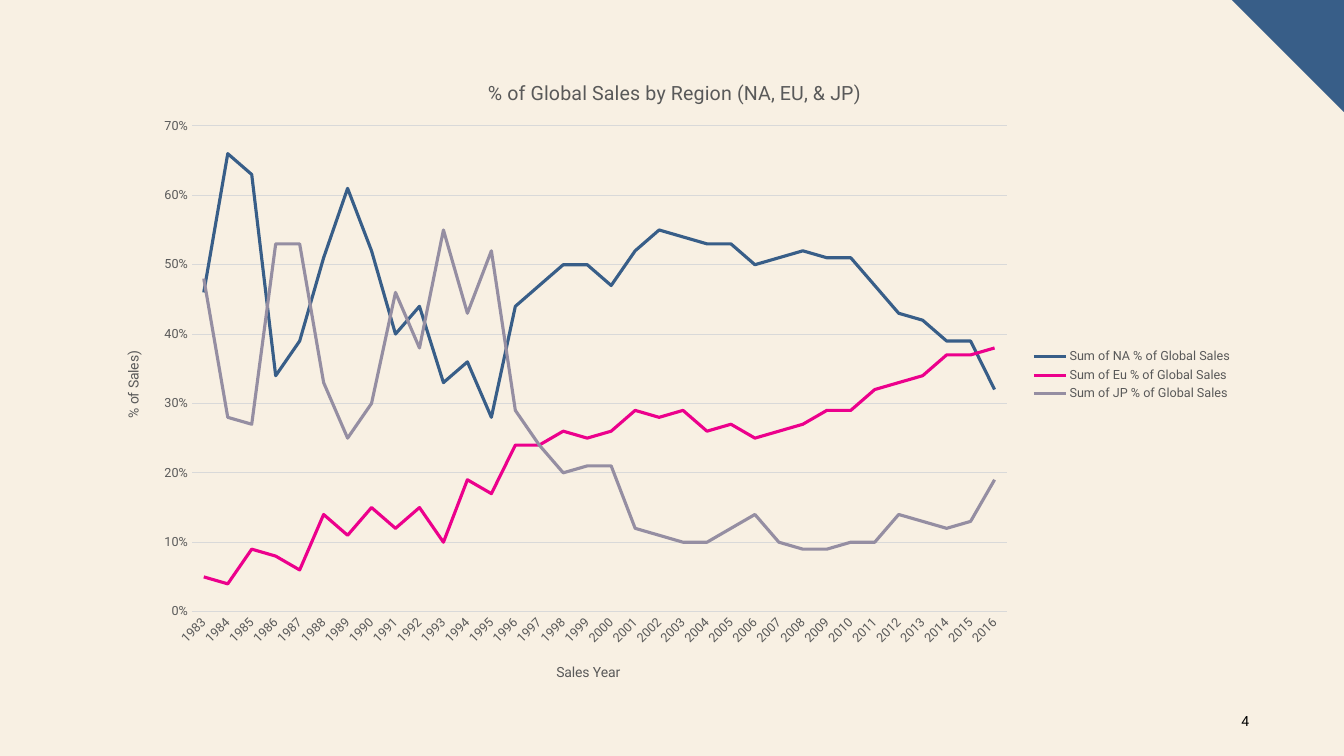
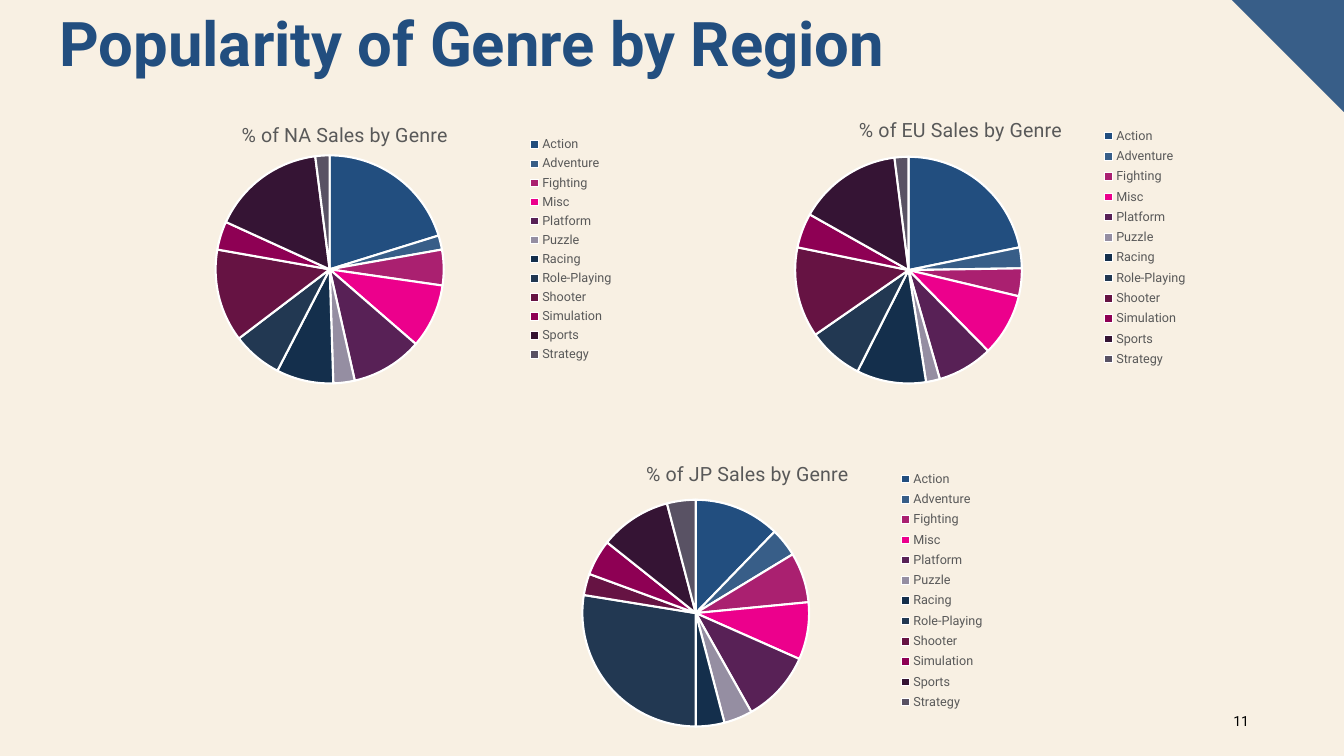
from lxml import etree
from pptx import Presentation
from pptx import util as u
from pptx.chart import data
from pptx.dml import color
from pptx.enum import chart as ce
from pptx.enum import text
from pptx.oxml import ns

Pt = u.Pt
CREAM, BLUE, NAVY, GREY, RULE = "F8F0E3", "385E88", "224E7F", "595959", "D9D9D9"
PINK, LILAC = "EC008C", "958EA2"

YEARS = [str(year) for year in range(1983, 2017)]
REGIONS = [
    ("Sum of NA % of Global Sales", BLUE,
     [46, 66, 63, 34, 39, 51, 61, 52, 40, 44, 33, 36, 28, 44, 47, 50, 50,
      47, 52, 55, 54, 53, 53, 50, 51, 52, 51, 51, 47, 43, 42, 39, 39, 32]),
    ("Sum of Eu % of Global Sales", PINK,
     [5, 4, 9, 8, 6, 14, 11, 15, 12, 15, 10, 19, 17, 24, 24, 26, 25,
      26, 29, 28, 29, 26, 27, 25, 26, 27, 29, 29, 32, 33, 34, 37, 37, 38]),
    ("Sum of JP % of Global Sales", LILAC,
     [48, 28, 27, 53, 53, 33, 25, 30, 46, 38, 55, 43, 52, 29, 24, 20, 21,
      21, 12, 11, 10, 10, 12, 14, 10, 9, 9, 10, 10, 14, 13, 12, 13, 19]),
]

GENRES = {
    "Action": NAVY, "Adventure": BLUE, "Fighting": "AA2070", "Misc": PINK,
    "Platform": "582156", "Puzzle": LILAC, "Racing": "142F4C",
    "Role-Playing": "223852", "Shooter": "661343", "Simulation": "8E0054",
    "Sports": "351434", "Strategy": "595264",
}
GENRE_PIES = [
    dict(title="% of NA Sales by Genre", values=[20, 2, 5, 9, 10, 3, 8, 7, 13, 4, 16, 2],
         box=(90, 68.4, 360, 216), title_at=(170, 84),
         plot_box=(154, 111, 163, 163), legend_box=(368, 95, 80, 167)),
    dict(title="% of EU Sales by Genre", values=[22, 3, 4, 9, 8, 2, 10, 8, 13, 5, 15, 2],
         box=(503.3, 68.4, 360, 216), title_at=(611, 80.5),
         plot_box=(568, 112, 162, 162), legend_box=(778, 88, 80, 178)),
    dict(title="% of JP Sales by Genre", values=[12, 4, 7, 8, 10, 4, 4, 27, 3, 5, 10, 4],
         box=(352.1, 313.2, 360, 216), title_at=(459, 326),
         plot_box=(416, 357, 162, 162), legend_box=(634, 333, 80, 178)),
]


def rgb(value):
    return color.RGBColor.from_string(value)


def paint(fill, value):
    fill.solid()
    fill.fore_color.rgb = rgb(value)


def rule(line, value, width):
    paint(line.fill, value)
    line.width = Pt(width)


class Deck:
    font = "Roboto"
    width, height, corner = 960, 540, 80

    def __init__(self):
        self.presentation = Presentation()
        self.presentation.slide_width = Pt(self.width)
        self.presentation.slide_height = Pt(self.height)
        paint(self.presentation.slide_master.background.fill, CREAM)
        self.slide = None

    def add_slide(self, number):
        self.slide = self.presentation.slides.add_slide(self.presentation.slide_layouts[6])
        self.add_corner()
        self.add_text(str(number), (863.3, 500.4, 36, 28.8), 10, "000000",
                      align=text.PP_ALIGN.RIGHT, anchor=text.MSO_ANCHOR.MIDDLE)

    def add_corner(self):
        left = self.width - self.corner
        builder = self.slide.shapes.build_freeform(Pt(left), 0)
        builder.add_line_segments([(Pt(self.width), 0), (Pt(self.width), Pt(self.corner))])
        shape = builder.convert_to_shape()
        shape.shadow.inherit = False
        paint(shape.fill, BLUE)
        shape.line.fill.background()

    def style(self, font, size, value, bold=False):
        font.name, font.size, font.bold = self.font, Pt(size), bold
        font.color.rgb = rgb(value)

    def add_text(self, words, box, size, value, bold=False,
                 align=text.PP_ALIGN.LEFT, anchor=text.MSO_ANCHOR.TOP):
        frame = self.slide.shapes.add_textbox(*map(Pt, box)).text_frame
        frame.word_wrap = True
        frame.vertical_anchor = anchor
        paragraph = frame.paragraphs[0]
        paragraph.text = words
        paragraph.alignment = align
        self.style(paragraph.font, size, value, bold)

    def place(self, element, index, chart_box, box, inner=False):
        for old in element.findall(ns.qn("c:layout")):
            element.remove(old)
        layout = etree.Element(ns.qn("c:layout"))
        element.insert(index, layout)
        manual = etree.SubElement(layout, ns.qn("c:manualLayout"))
        settings = [("layoutTarget", "inner")] if inner else []
        settings += [("xMode", "edge"), ("yMode", "edge")]
        left, top, width, height = chart_box
        shares = [(box[0] - left) / width, (box[1] - top) / height]
        shares += [side / whole for side, whole in zip(box[2:], (width, height))]
        settings += [(name, f"{share:.4f}") for name, share in zip("xywh", shares)]
        for name, value in settings:
            etree.SubElement(manual, ns.qn(f"c:{name}")).set("val", value)

    def add_title(self, title, words, size, chart_box, at):
        title.text_frame.text = words
        self.style(title.text_frame.paragraphs[0].font, size, GREY)
        self.place(title._element, 1, chart_box, at)

    def add_chart(self, kind, chart_data, title, box, title_at, plot_box, legend_box):
        chart = self.slide.shapes.add_chart(kind, *map(Pt, box), chart_data).chart
        self.style(chart.font, 10, "000000")
        chart.has_title = True
        self.add_title(chart.chart_title, title, 14, box, title_at)
        chart.has_legend = True
        chart.legend.position = ce.XL_LEGEND_POSITION.RIGHT
        chart.legend.include_in_layout = False
        self.style(chart.legend.font, 9, GREY)
        self.place(chart.legend._element, 1, box, legend_box)
        plot_area = chart.element.find(".//" + ns.qn("c:plotArea"))
        self.place(plot_area, 0, box, plot_box, inner=True)
        return chart

    def add_line_chart(self, categories, rows, axis_titles, box, **layout):
        chart_data = data.CategoryChartData(number_format="0%")
        chart_data.categories = categories
        for name, _, percents in rows:
            chart_data.add_series(name, [percent / 100 for percent in percents])
        chart = self.add_chart(ce.XL_CHART_TYPE.LINE, chart_data, box=box, **layout)
        chart.plots[0].vary_by_categories = False
        for series, (_, value, _) in zip(chart.plots[0].series, rows):
            series.smooth = False
            rule(series.format.line, value, 2.25)
        axes = chart.category_axis, chart.value_axis
        for axis, (words, at) in zip(axes, axis_titles):
            axis.major_tick_mark = axis.minor_tick_mark = ce.XL_TICK_MARK.NONE
            self.style(axis.tick_labels.font, 9, GREY)
            self.add_title(axis.axis_title, words, 10, box, at)
        years, shares = axes
        rule(years.format.line, RULE, 0.75)
        years._element.find(".//" + ns.qn("c:txPr") + "/" + ns.qn("a:bodyPr")).set("rot", "-2700000")
        shares.axis_title.text_frame._txBody.bodyPr.set("rot", "-5400000")
        shares.axis_title.text_frame._txBody.bodyPr.set("vert", "horz")
        shares.format.line.fill.background()
        rule(shares.major_gridlines.format.line, RULE, 0.75)
        shares.minimum_scale, shares.maximum_scale, shares.major_unit = 0, 0.7, 0.1
        shares.tick_labels.number_format = "0%"
        shares.tick_labels.number_format_is_linked = False

    def add_pie(self, slices, values, **layout):
        chart_data = data.CategoryChartData()
        chart_data.categories = list(slices)
        chart_data.add_series("Series 1", values)
        chart = self.add_chart(ce.XL_CHART_TYPE.PIE, chart_data, **layout)
        chart.plots[0].vary_by_categories = True
        points = chart.plots[0].series[0].points
        for index, value in enumerate(slices.values()):
            paint(points[index].format.fill, value)
            rule(points[index].format.line, "FFFFFF", 1.5)


def main():
    deck = Deck()
    deck.add_slide(4)
    deck.add_line_chart(
        YEARS, REGIONS, [("Sales Year", (395.5, 472)), ("% of Sales)", (87, 249))],
        title="% of Global Sales by Region (NA, EU, & JP)",
        box=(71.3, 36.7, 816.5, 463.7), title_at=(346, 54),
        plot_box=(137, 90, 582, 347), legend_box=(735, 247, 147, 42))
    deck.add_slide(11)
    for pie in GENRE_PIES:
        deck.add_pie(GENRES, **pie)
    deck.add_text("Popularity of Genre by Region", (35.3, 0, 734.4, 60.5), 44, NAVY, bold=True)
    deck.presentation.save("out.pptx")


if __name__ == "__main__":
    main()
